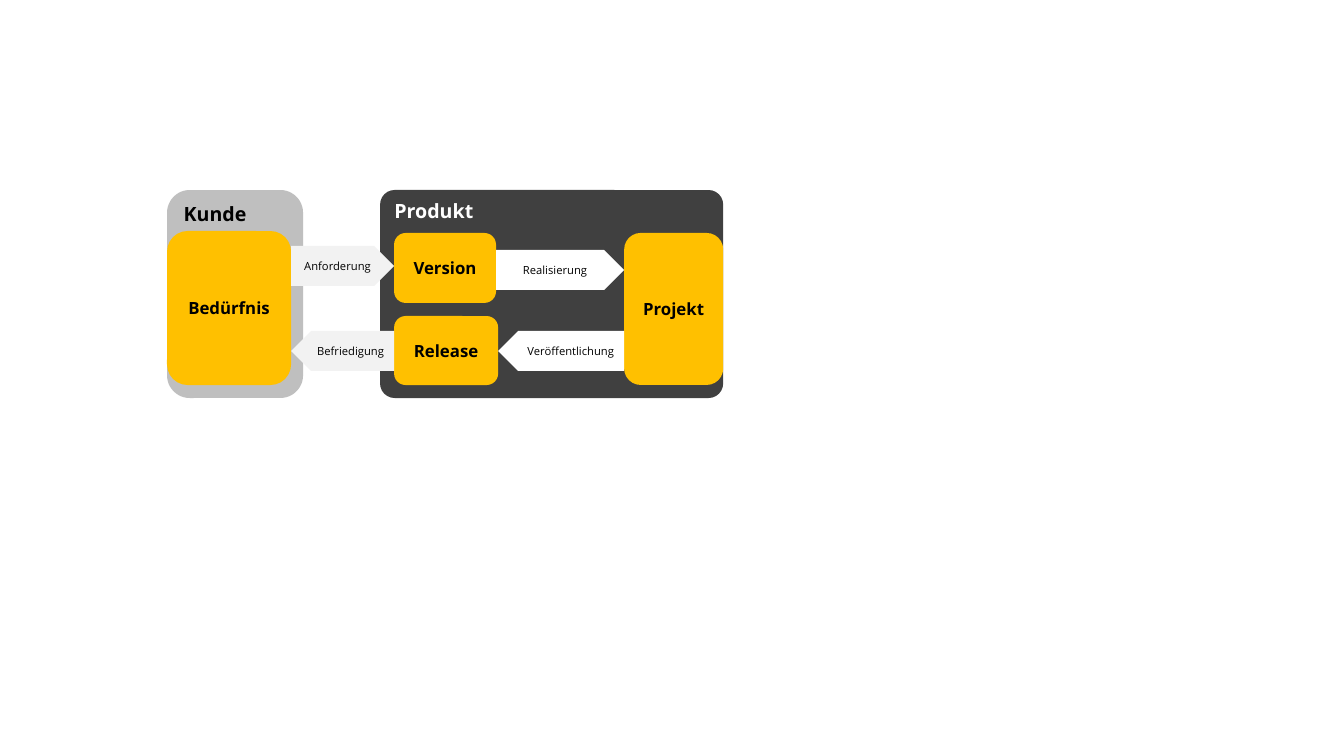
from dataclasses import dataclass

from pptx import Presentation
from pptx.dml.color import RGBColor
from pptx.enum import shapes, text
from pptx.util import Emu, Inches, Pt

PX = Inches(1) / 100.8


@dataclass(frozen=True)
class Theme:
    """Colours, font and type sizes of the slide."""
    font: str = "Open Sans"
    black: str = "000000"
    white: str = "FFFFFF"
    grey: str = "BFBFBF"
    dark: str = "404040"
    light: str = "F2F2F2"
    amber: str = "FFC000"
    heading: int = 14
    label: int = 12
    flow: int = 8


T = Theme()

# label, (left, top, width, height), fill, text colour, corner ratio
AREAS = [
    ("Kunde", (167, 190, 136, 208), T.grey, T.black, None),
    ("Produkt", (380, 190, 343, 208), T.dark, T.white, 0.07),
]
BOXES = {
    "Bedürfnis": (167, 231, 124, 154),
    "Version": (394, 233, 102, 70),
    "Projekt": (624, 233, 99, 152),
    "Release": (394, 316, 104, 69),
}
# label, from box, to box, top, fill
FLOWS = [
    ("Anforderung", "Bedürfnis", "Version", 246, T.light),
    ("Realisierung", "Version", "Projekt", 250, T.white),
    ("Veröffentlichung", "Projekt", "Release", 331, T.white),
    ("Befriedigung", "Release", "Bedürfnis", 331, T.light),
]
FLOW_HEIGHT = 40


def add_block(parent, kind, label, box, *, fill, size, color=T.black, bold=True,
              align=text.PP_ALIGN.CENTER, anchor=text.MSO_ANCHOR.MIDDLE):
    """Add a filled, borderless shape with one line of text."""
    sp = parent.shapes.add_shape(kind, *(Emu(round(v * PX)) for v in box))
    sp.shadow.inherit = False
    sp.fill.solid()
    sp.fill.fore_color.rgb = RGBColor.from_string(fill)
    sp.line.fill.background()
    tf = sp.text_frame
    tf.word_wrap = True
    tf.vertical_anchor = anchor
    p = tf.paragraphs[0]
    p.alignment = align
    r = p.add_run()
    r.text = label
    r.font.name, r.font.size, r.font.bold = T.font, Pt(size), bold
    r.font.color.rgb = RGBColor.from_string(color)
    return sp


def add_flow(parent, label, start, end, top, fill):
    """Add a block arrow that fills the gap between two boxes."""
    back = start[0] > end[0]
    left, right = (end, start) if back else (start, end)
    x = left[0] + left[2]
    sp = add_block(parent, shapes.MSO_SHAPE.PENTAGON, label,
                   (x, top, right[0] - x, FLOW_HEIGHT),
                   fill=fill, size=T.flow, bold=False,
                   align=text.PP_ALIGN.RIGHT if back else text.PP_ALIGN.CENTER)
    if back:
        # Half a turn plus a vertical flip points left and keeps the text upright.
        sp.rotation = 180
        sp._element.spPr.xfrm.set("flipV", "1")


def build():
    """Build the slide and save it."""
    prs = Presentation()
    prs.slide_width, prs.slide_height = Inches(13.33), Inches(7.5)
    slide = prs.slides.add_slide(prs.slide_layouts[6])
    diagram = slide.shapes.add_group_shape()
    rounded = shapes.MSO_SHAPE.ROUNDED_RECTANGLE
    for label, box, fill, color, corner in AREAS:
        sp = add_block(diagram, rounded, label, box, fill=fill, size=T.heading, color=color,
                       align=text.PP_ALIGN.LEFT, anchor=text.MSO_ANCHOR.TOP)
        if corner is not None:
            sp.adjustments[0] = corner
    for label, box in BOXES.items():
        add_block(diagram, rounded, label, box, fill=T.amber, size=T.label)
    for label, start, end, top, fill in FLOWS:
        add_flow(diagram, label, BOXES[start], BOXES[end], top, fill)
    prs.save("out.pptx")


build()
